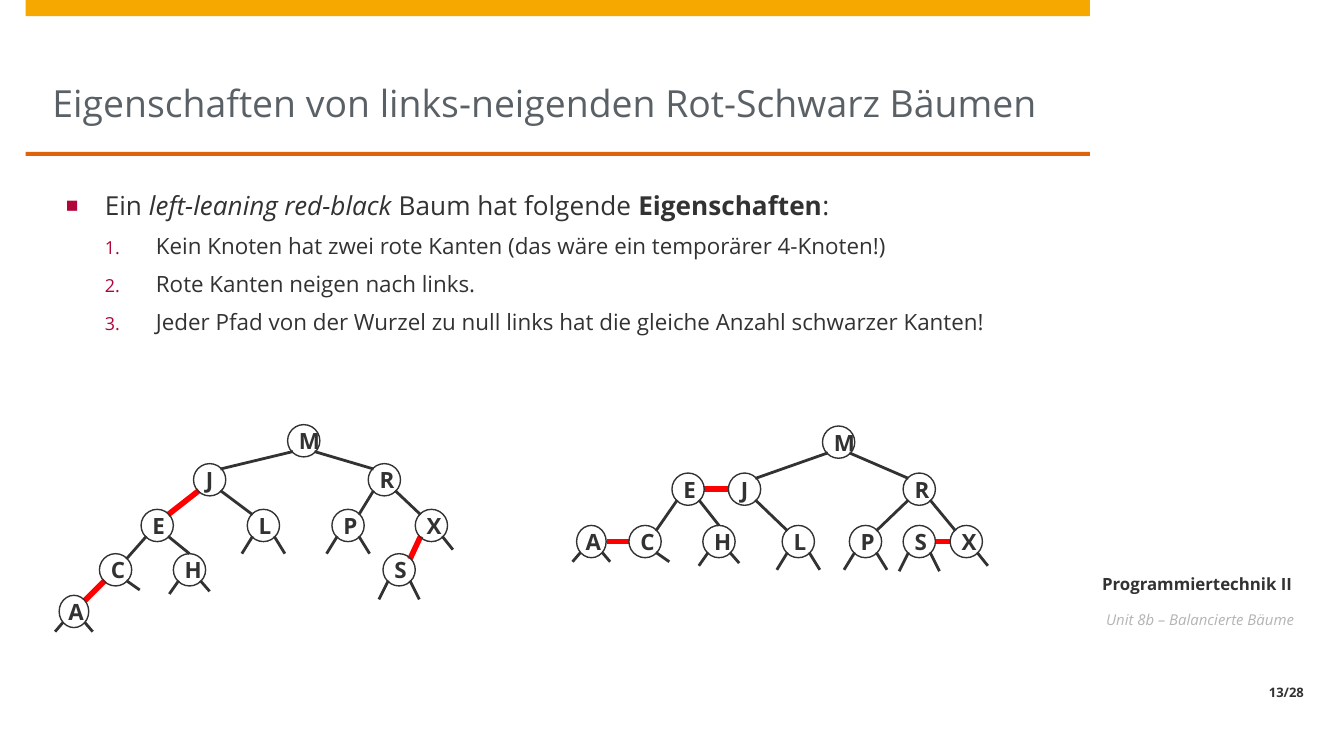
"""Build the slide on properties of left-leaning red-black trees."""
from lxml import etree
from pptx import Presentation
from pptx import util as u
from pptx.dml.color import RGBColor
from pptx.enum import shapes, text
from pptx.oxml.ns import qn

W, H = 10, 10 * 9 / 16
FONT, INK, RED, ACCENT = "Open Sans", "323232", "FF0000", "B1063A"
TITLE = "Eigenschaften von links-neigenden Rot-Schwarz Bäumen"
LEAD = [("Ein ", {}), ("left-leaning red-black", {"italic": True}),
        (" Baum hat folgende ", {}), ("Eigenschaften", {"bold": True}), (":", {})]
RULES = ["Kein Knoten hat zwei rote Kanten (das wäre ein temporärer 4-Knoten!)",
         "Rote Kanten neigen nach links.",
         "Jeder Pfad von der Wurzel zu null links hat die gleiche Anzahl schwarzer Kanten!"]
BARS = [(0, 0.12, "F6A800"), (1.13, 0.03, "DD640C")]
SIDEBAR = [
    ("Programmiertechnik II", 3.9, 0.57, 0, "CENTER", "BOTTOM", {"size": 9, "bold": True, "color": INK}),
    ("Unit 8b – Balancierte Bäume", 4.54, 0.52, 0.12, "LEFT", "TOP",
     {"size": 8, "italic": True, "color": "B4B4B4"}),
    ("13/28", 5.06, 0.2, 0.12, "RIGHT", "BOTTOM", {"size": 7, "bold": True, "color": INK}),
]
EDGES = ["MJ", "MR", "JE", "JL", "EC", "EH", "RP", "RX", "CA", "XS"]
RED_EDGES = {"JE", "CA", "XS"}
STUBS = {"A": [(-0.06, 0.07), (0.06, 0.07)], "C": [(0.1, 0.07)],
         "H": [(-0.07, 0.1), (0.07, 0.08)], "L": [(-0.08, 0.13), (0.08, 0.13)],
         "P": [(-0.08, 0.13), (0.08, 0.13)], "S": [(-0.07, 0.14), (0.07, 0.14)],
         "X": [(0.08, 0.1)]}
BINARY_TREE = [
    (3.28, {"M": 2.26}),
    (3.57, {"J": 1.56, "R": 2.86}),
    (3.91, {"E": 1.17, "L": 1.96, "P": 2.59, "X": 3.21}),
    (4.24, {"C": 0.86, "H": 1.41, "S": 2.97}),
    (4.55, {"A": 0.55}),
]
FLAT_TREE = [
    (3.29, {"M": 6.24}),
    (3.64, {"E": 5.12, "J": 5.54, "R": 6.84}),
    (4.03, {"A": 4.4, "C": 4.8, "H": 5.35, "L": 5.94, "P": 6.44, "S": 6.84, "X": 7.19}),
]
NODE, DIAG = 0.24, 0.08


def rgb(value):
    return RGBColor.from_string(value)


def place(sp, x, y, w, h):
    for name, value in zip(("left", "top", "width", "height"), (x, y, w, h)):
        setattr(sp, name, u.Inches(value))


def frame(sp, insets, anchor):
    tf = sp.text_frame
    tf.word_wrap, tf.auto_size = True, text.MSO_AUTO_SIZE.NONE
    tf.vertical_anchor = text.MSO_ANCHOR[anchor]
    for side, value in zip(("left", "top", "right", "bottom"), insets):
        setattr(tf, "margin_" + side, u.Inches(value))
    return tf


def write(p, words, size, color=INK, align="LEFT", gap=3, **fmt):
    p.alignment = text.PP_ALIGN[align]
    p.space_before = p.space_after = u.Pt(gap)
    r = p.add_run()
    r.text = words
    r.font.color.rgb = rgb(color)
    for key, value in {"name": FONT, "size": u.Pt(size), **fmt}.items():
        setattr(r.font, key, value)


def bullet(p, indent, hang, tag, **attrs):
    pPr = p._p.get_or_add_pPr()
    pPr.set("marL", str(u.Inches(indent)))
    pPr.set("indent", str(-u.Inches(hang)))
    color = etree.SubElement(pPr, qn("a:buClr"))
    etree.SubElement(color, qn("a:srgbClr"), val=ACCENT)
    etree.SubElement(pPr, qn("a:buSzPct"), val="80000")
    etree.SubElement(pPr, qn(tag), **attrs)


def line(slide, start, end, color=INK, width=1.5):
    points = [u.Inches(v) for v in (*start, *end)]
    sp = slide.shapes.add_connector(shapes.MSO_CONNECTOR.STRAIGHT, *points)
    sp.line.color.rgb, sp.line.width = rgb(color), u.Pt(width)
    etree.SubElement(sp._element.spPr, qn("a:effectLst"))


def edge_ends(parent, child, to_top):
    (x1, y1), (x2, y2) = parent, child
    side = 1 if x2 > x1 else -1
    if y1 == y2:
        return (x1 + side * NODE / 2, y1), (x2 - side * NODE / 2, y2)
    end = (x2, y2 - NODE / 2) if to_top else (x2 - side * DIAG, y2 - DIAG)
    return (x1 + side * DIAG, y1 + DIAG), end


def draw_tree(slide, rows):
    nodes = {key: (x, y) for y, row in rows for key, x in row.items()}
    for edge in EDGES:
        parent, child = edge
        style = (RED, 3) if edge in RED_EDGES else (INK, 1.5)
        line(slide, *edge_ends(nodes[parent], nodes[child], child == "H"), *style)
    for key, (x, y) in nodes.items():
        for dx, dy in STUBS.get(key, []):
            start = (x + (DIAG if dx > 0 else -DIAG), y + DIAG)
            line(slide, start, (start[0] + dx, start[1] + dy))
        sp = slide.shapes.add_shape(shapes.MSO_SHAPE.OVAL, 0, 0, 0, 0)
        width = 0.22 if key == "A" else NODE
        place(sp, x - width / 2, y - NODE / 2, width, NODE)
        sp.shadow.inherit = False
        sp.fill.background()
        sp.line.color.rgb, sp.line.width = rgb(INK), u.Pt(0.75)
        tf = frame(sp, (0.12, 0.08, 0.12, 0.08), "MIDDLE")
        write(tf.paragraphs[0], key, 12, align="CENTER", bold=True)


def draw_text(slide):
    title, body = slide.placeholders
    place(title, 0.39, 0.12, 7.52, 1.01)
    p = frame(title, (0, 0, 0, 0.2), "BOTTOM").paragraphs[0]
    write(p, TITLE, 20, "5A6166", gap=0)
    place(body, 0.39, 1.36, 7.52, 1.46)
    tf = frame(body, (0.1, 0.05, 0.1, 0.05), "TOP")
    p = tf.paragraphs[0]
    for words, fmt in LEAD:
        write(p, words, 14, **fmt)
    bullet(p, 0.29, 0.29, "a:buChar", char="■")
    for rule in RULES:
        p = tf.add_paragraph()
        p.level = 1
        write(p, rule, 12)
        bullet(p, 0.67, 0.38, "a:buAutoNum", type="arabicPeriod")
    for words, y, h, inset, align, anchor, fmt in SIDEBAR:
        sp = slide.shapes.add_textbox(0, 0, 0, 0)
        place(sp, 8.11, y, 1.69, h)
        tf = frame(sp, (inset, 0, 0.1, 0.05), anchor)
        write(tf.paragraphs[0], words, align=align, **fmt)


def main():
    prs = Presentation()
    prs.slide_width, prs.slide_height = u.Inches(W), u.Inches(H)
    slide = prs.slides.add_slide(prs.slide_layouts[1])
    for y, h, color in BARS:
        sp = slide.shapes.add_shape(shapes.MSO_SHAPE.RECTANGLE, 0, 0, 0, 0)
        place(sp, 0.19, y, 7.92, h)
        sp.shadow.inherit = False
        sp.fill.solid()
        sp.fill.fore_color.rgb = rgb(color)
        sp.line.fill.background()
    draw_text(slide)
    for rows in (BINARY_TREE, FLAT_TREE):
        draw_tree(slide, rows)
    prs.save("out.pptx")


if __name__ == "__main__":
    main()
